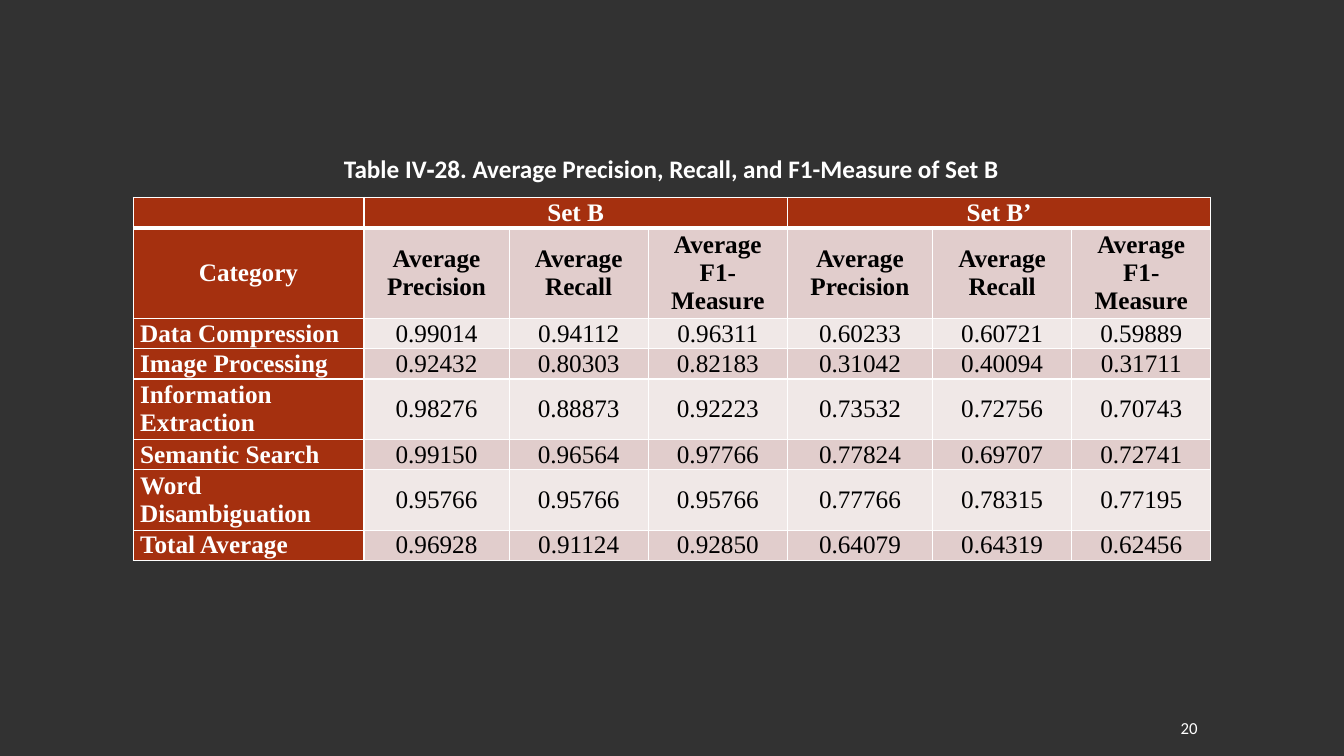
"""Build a slide with a table of average precision, recall and F1-measure."""
from dataclasses import dataclass

from lxml.etree import SubElement
from pptx import Presentation
from pptx.dml.color import RGBColor
from pptx.enum.text import MSO_ANCHOR, MSO_AUTO_SIZE, PP_ALIGN
from pptx.oxml.ns import qn
from pptx.table import Table, _Cell
from pptx.text.text import TextFrame
from pptx.util import Inches, Pt

DARK = RGBColor(0x32, 0x32, 0x32)
RUST = RGBColor(0xA5, 0x30, 0x0F)
BAND = RGBColor(0xE1, 0xCD, 0xCC)
PALE = RGBColor(0xF0, 0xE8, 0xE7)
WHITE = RGBColor(0xFF, 0xFF, 0xFF)
BLACK = RGBColor(0x00, 0x00, 0x00)

COL_WIDTHS = [2.29] + [1.44, 1.38, 1.38] * 2
MEASURES = ["Average Precision", "Average Recall", "Average F1-Measure"]


@dataclass(frozen=True)
class TextStyle:
    font: str
    size: int
    color: RGBColor
    bold: bool = False
    align: PP_ALIGN = PP_ALIGN.CENTER


@dataclass(frozen=True)
class Row:
    height: float
    label: str
    values: list[str]


ROWS = [
    Row(0.3, "", ["Set B", "", "", "Set B’", "", ""]),
    Row(0.9, "Category", MEASURES * 2),
    Row(0.3, "Data Compression",
        ["0.99014", "0.94112", "0.96311", "0.60233", "0.60721", "0.59889"]),
    Row(0.3, "Image Processing",
        ["0.92432", "0.80303", "0.82183", "0.31042", "0.40094", "0.31711"]),
    Row(0.6, "Information Extraction",
        ["0.98276", "0.88873", "0.92223", "0.73532", "0.72756", "0.70743"]),
    Row(0.3, "Semantic Search",
        ["0.99150", "0.96564", "0.97766", "0.77824", "0.69707", "0.72741"]),
    Row(0.6, "Word Disambiguation",
        ["0.95766", "0.95766", "0.95766", "0.77766", "0.78315", "0.77195"]),
    Row(0.3, "Total Average",
        ["0.96928", "0.91124", "0.92850", "0.64079", "0.64319", "0.62456"]),
]


def write(tf: TextFrame, text: str, style: TextStyle) -> None:
    tf.word_wrap = True
    tf.vertical_anchor = MSO_ANCHOR.MIDDLE
    p = tf.paragraphs[0]
    p.text = text
    p.alignment = style.align
    p.font.name = style.font
    p.font.size = Pt(style.size)
    p.font.bold = style.bold
    p.font.color.rgb = style.color


def set_borders(cell: _Cell, row: int) -> None:
    widths = {"a:lnL": 1, "a:lnR": 1,
              "a:lnT": 3 if row == 1 else 1, "a:lnB": 3 if row == 0 else 1}
    tc_pr = cell._tc.get_or_add_tcPr()
    for tag, width in widths.items():
        ln = SubElement(tc_pr, qn(tag), w=str(Pt(width)))
        fill = SubElement(ln, qn("a:solidFill"))
        SubElement(fill, qn("a:srgbClr"), val=str(WHITE))


def fill_cell(cell: _Cell, row: int, col: int, text: str) -> None:
    heading = row == 0 or col == 0
    set_borders(cell, row)
    cell.fill.solid()
    cell.fill.fore_color.rgb = RUST if heading else BAND if row % 2 else PALE
    cell.margin_left = cell.margin_right = Inches(0.07)
    cell.margin_top = cell.margin_bottom = 0
    cell.vertical_anchor = MSO_ANCHOR.MIDDLE
    align = PP_ALIGN.LEFT if col == 0 and row > 1 else PP_ALIGN.CENTER
    style = TextStyle("Times New Roman", 18, WHITE if heading else BLACK,
                      heading or row == 1, align)
    write(cell.text_frame, text, style)
    cell.vertical_anchor = MSO_ANCHOR.MIDDLE


def fill_table(table: Table) -> None:
    for column, width in zip(table.columns, COL_WIDTHS):
        column.width = Inches(width)
    for i, row in enumerate(ROWS):
        table.rows[i].height = Inches(row.height)
        for j, text in enumerate([row.label, *row.values]):
            fill_cell(table.cell(i, j), i, j, text)
    for first in (1, 4):
        table.cell(0, first).merge(table.cell(0, first + 2))


def main() -> None:
    prs = Presentation()
    prs.slide_width, prs.slide_height = Inches(13.33), Inches(7.5)
    s = prs.slides.add_slide(prs.slide_layouts[5])
    s.background.fill.solid()
    s.background.fill.fore_color.rgb = DARK

    title = s.shapes.title
    title.left, title.top = Inches(2.24), Inches(1.47)
    title.width, title.height = Inches(8.84), Inches(0.4)
    write(title.text_frame,
          "Table IV‑28. Average Precision, Recall, and F1-Measure of Set B",
          TextStyle("Calibri", 18, WHITE, bold=True))
    title.text_frame.auto_size = MSO_AUTO_SIZE.NONE

    frame = s.shapes.add_table(len(ROWS), len(COL_WIDTHS), Inches(1.32), Inches(1.96),
                               Inches(sum(COL_WIDTHS)), Inches(3.6))
    fill_table(frame.table)

    number = s.shapes.add_textbox(Inches(11.66), Inches(7.02), Inches(1.03), Inches(0.4))
    tf = number.text_frame
    tf.margin_left = Inches(0.05)
    write(tf, "20", TextStyle("Calibri", 12, WHITE, align=PP_ALIGN.LEFT))

    prs.save("out.pptx")


if __name__ == "__main__":
    main()
